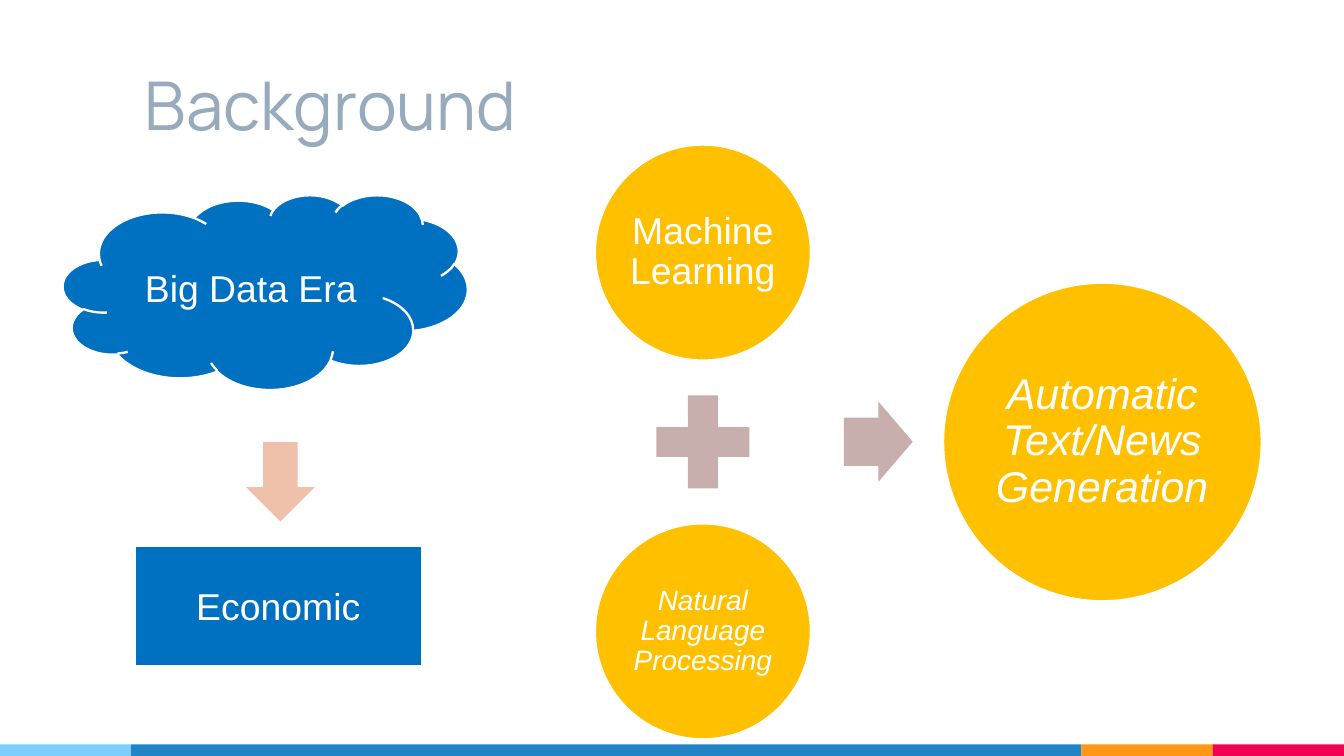
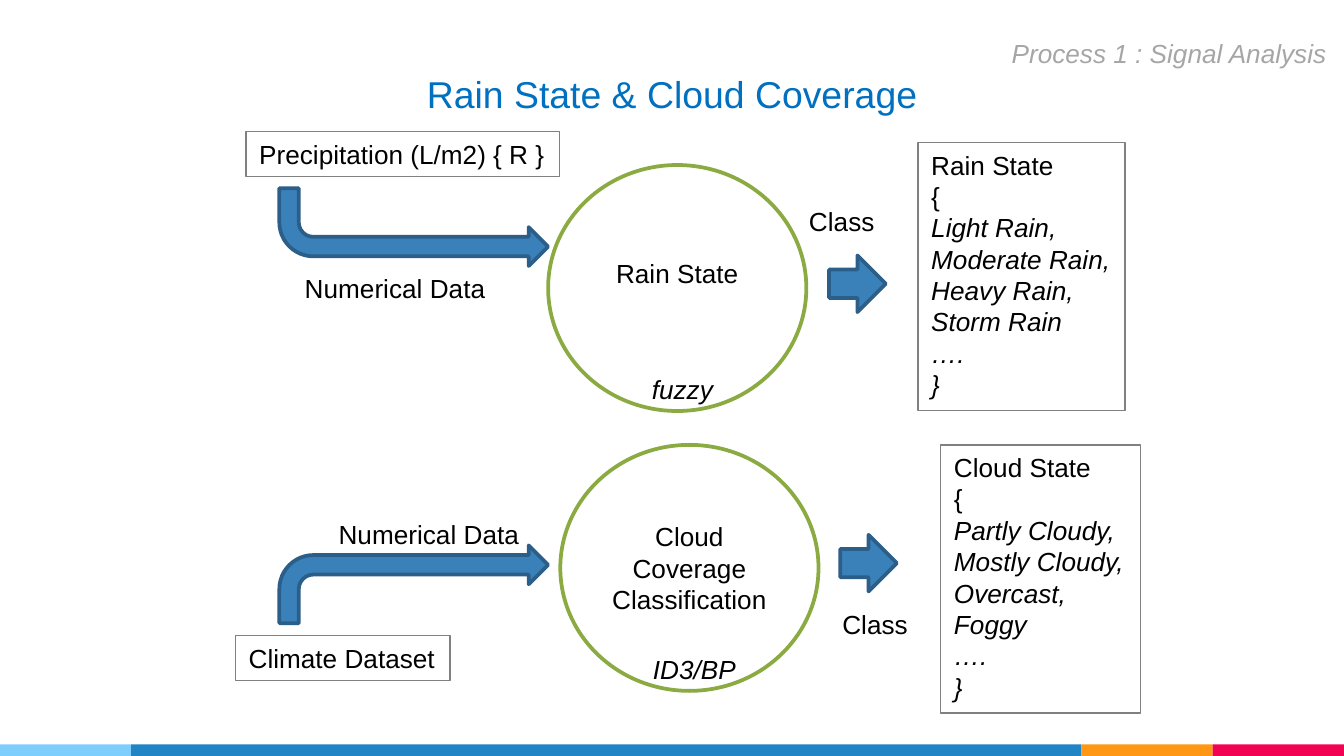
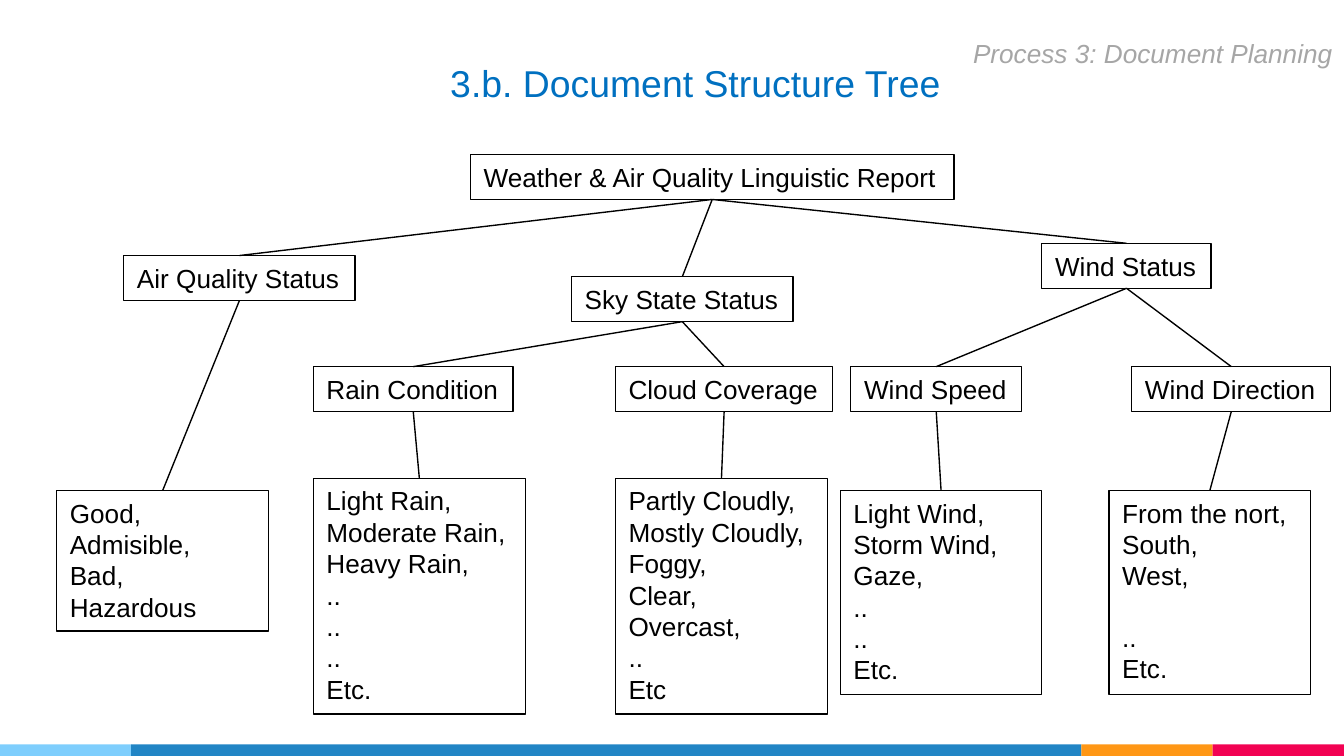
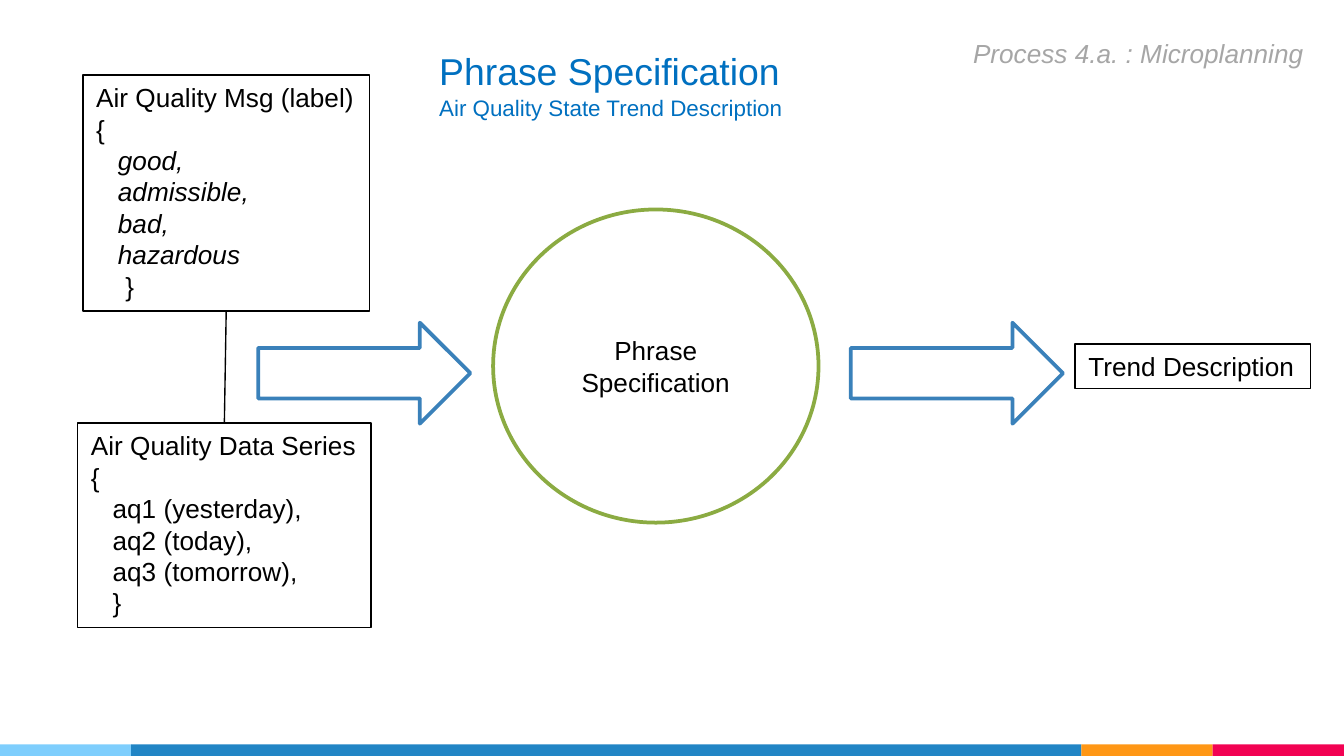
from dataclasses import dataclass
from typing import NamedTuple

from lxml import etree
from pptx import Presentation
from pptx.dml.color import RGBColor
from pptx.enum.shapes import MSO_CONNECTOR, MSO_SHAPE as SHAPE
from pptx.enum.text import MSO_ANCHOR as ANCHOR, MSO_AUTO_SIZE as AUTO, PP_ALIGN as ALIGN
from pptx.oxml.ns import qn
from pptx.util import Cm, Pt

COLORS = {
    "sky": "7ECEFD", "band": "2185C5", "orange": "FF9715", "pink": "F20253",
    "title": "97ABBC", "heading": "0070C0", "process": "A6A6A6",
    "gold": "FFC000", "mauve": "C9AEAE", "peach": "EFC1AB",
    "arrow": "3A81BA", "arrow_edge": "2B5F8A", "green": "8BAB42",
    "gray": "808080", "black": "000000", "white": "FFFFFF",
}
BODY_SIZE = 14
LINE_CM = 0.043     # line height in cm for each point of text size
ROW_GAP = 16        # one body line, in points


class Box(NamedTuple):
    left: float
    top: float
    width: float
    height: float


class Line(NamedTuple):
    text: str
    italic: bool = False
    indent: float = 0
    before: float = 0


@dataclass
class Label:
    """Text fitted to its lines, with an optional frame."""
    text: str | list
    left: float
    top: float
    width: float
    size: float = BODY_SIZE
    color: str = "black"
    italic: bool = False
    frame: str | None = None
    wrap: bool = False


@dataclass
class Figure:
    """Preset shape with optional centred text."""
    kind: SHAPE
    box: Box
    fill: str | None = None
    line: str | None = None
    weight: float = 2
    flip: bool = False
    adjust: tuple = ()


BANDS = [("sky", 2.48), ("band", 17.96), ("orange", 2.48), ("pink", 2.48)]


# Shared drawing functions
def rgb(name: str) -> RGBColor:
    return RGBColor.from_string(COLORS[name])


def write(sp, text, *, size=BODY_SIZE, color="black", font="Arial", italic=False,
          align=ALIGN.LEFT, anchor=ANCHOR.TOP, wrap=True, inset=None,
          bottom=None, spacing=None):
    tf = sp.text_frame
    tf.word_wrap = wrap
    tf.vertical_anchor = anchor
    if inset is not None:
        tf.margin_left = tf.margin_right = tf.margin_top = tf.margin_bottom = Cm(inset)
    if bottom is not None:
        tf.margin_bottom = Cm(bottom)
    lines = [text] if isinstance(text, str) else text
    for i, item in enumerate(lines):
        line = Line(item, italic) if isinstance(item, str) else item
        p = tf.paragraphs[0] if i == 0 else tf.add_paragraph()
        p.alignment = align
        if spacing:
            p.line_spacing = spacing
        if line.before:
            p.space_before = Pt(line.before)
        if line.indent:
            p._p.get_or_add_pPr().set("marL", str(Cm(line.indent)))
        r = p.add_run()
        r.text = line.text
        r.font.name, r.font.size, r.font.italic = font, Pt(size), line.italic
        r.font.color.rgb = rgb(color)


def draw(slide, fig: Figure, text=None, **text_format):
    sp = slide.shapes.add_shape(fig.kind, *map(Cm, fig.box))
    sp.shadow.inherit = False
    if fig.fill:
        sp.fill.solid()
        sp.fill.fore_color.rgb = rgb(fig.fill)
    else:
        sp.fill.background()
    if fig.line:
        sp.line.color.rgb = rgb(fig.line)
        sp.line.width = Pt(fig.weight)
    else:
        sp.line.fill.background()
    for i, value in enumerate(fig.adjust):
        sp.adjustments[i] = value
    if fig.flip:
        sp._element.spPr.xfrm.set("flipV", "1")
    if text:
        write(sp, text, **text_format)
    return sp


def put_label(slide, lb: Label):
    count = 1 if isinstance(lb.text, str) else sum(
        2 if isinstance(x, Line) and x.before else 1 for x in lb.text)
    box = Box(lb.left, lb.top, lb.width, round(0.25 + count * lb.size * LINE_CM, 2))
    if lb.frame:
        sp = draw(slide, Figure(SHAPE.RECTANGLE, box, line=lb.frame, weight=0.75))
    else:
        sp = slide.shapes.add_textbox(*map(Cm, box))
    write(sp, lb.text, size=lb.size, color=lb.color, italic=lb.italic, wrap=lb.wrap)
    sp.text_frame.auto_size = AUTO.SHAPE_TO_FIT_TEXT
    return sp


def join(slide, upper, lower) -> None:
    """Line from the bottom centre of one box to the top centre of another."""
    cn = slide.shapes.add_connector(MSO_CONNECTOR.STRAIGHT, 0, 0, 0, 0)
    cn.begin_connect(upper, 2)
    cn.end_connect(lower, 0)
    cn.line.color.rgb = rgb("black")
    cn.line.width = Pt(0.75)
    etree.SubElement(cn._element.spPr, qn("a:effectLst"))


def put_circle(slide, box: Box, text: str, **text_format) -> None:
    draw(slide, Figure(SHAPE.OVAL, box, "white", "green"), text,
         align=ALIGN.CENTER, anchor=ANCHOR.MIDDLE, **text_format)


def new_slide(prs):
    slide = prs.slides.add_slide(prs.slide_layouts[6])
    left = 0
    for color, width in BANDS:
        draw(slide, Figure(SHAPE.RECTANGLE, Box(left, 14.07, width, 0.22), color))
        left += width
    return slide


def process_slide(prs, process: Label, heading: Label):
    slide = new_slide(prs)
    process.color, process.italic = "process", True
    heading.color, heading.size = "heading", 20
    put_label(slide, process)
    put_label(slide, heading)
    return slide


# Slide 1: background
def background(prs) -> None:
    slide = new_slide(prs)
    title = slide.shapes.add_textbox(*map(Cm, Box(2.49, 0.58, 17.96, 2.39)))
    write(title, "Background", size=36, color="title", font="Manrope",
          anchor=ANCHOR.BOTTOM, inset=0.25)

    centred = dict(color="white", align=ALIGN.CENTER, anchor=ANCHOR.MIDDLE, inset=0.07)
    for text, box, size, italic in [
        ("Machine Learning", Box(11.23, 2.72, 4.11, 4.11), 20, False),
        ("Natural Language Processing", Box(11.23, 9.88, 4.11, 4.11), 15, True),
        ("Automatic Text/News Generation", Box(17.81, 5.33, 6.05, 6.05), 23, True),
    ]:
        draw(slide, Figure(SHAPE.OVAL, box, "gold", "white"), text,
             size=size, italic=italic, spacing=0.9, **centred)
    draw(slide, Figure(SHAPE.MATH_PLUS, Box(12.09, 7.16, 2.39, 2.39), "mauve"))
    draw(slide, Figure(SHAPE.RIGHT_ARROW, Box(15.95, 7.59, 1.3, 1.52), "mauve",
                       adjust=(0.6, 0.5)))

    for kind, box, text in [
        (SHAPE.CLOUD, Box(1.19, 3.68, 7.65, 3.68), "Big Data Era"),
        (SHAPE.RECTANGLE, Box(2.54, 10.31, 5.44, 2.29), "Economic"),
    ]:
        draw(slide, Figure(kind, box, "heading", "white", 1.25), text, size=20, **centred)
    draw(slide, Figure(SHAPE.DOWN_ARROW, Box(4.65, 8.36, 1.3, 1.5), "peach"))


# Slide 2: rain and cloud classification
def rain_and_cloud(prs) -> None:
    slide = process_slide(prs, Label("Process 1 : Signal Analysis", 18.87, 0.58, 6.53),
                          Label("Rain State & Cloud Coverage", 7.82, 1.22, 9.86))
    for top, flip in [(10.31, False), (3.56, True)]:
        draw(slide, Figure(SHAPE.BENT_ARROW, Box(5.28, top, 5.08, 1.47),
                           "arrow", "arrow_edge", flip=flip))
    put_circle(slide, Box(10.59, 8.41, 4.88, 4.65), "Cloud Coverage Classification")
    put_circle(slide, Box(10.36, 3.12, 4.88, 4.65), "Rain State", bottom=0.69)
    for left, top in [(15.67, 4.83), (15.88, 10.11)]:
        draw(slide, Figure(SHAPE.RIGHT_ARROW, Box(left, top, 1.07, 1.07),
                           "arrow", "arrow_edge"))

    def states(name: str, *values: str) -> list:
        return [name, "{"] + [Line(v, italic=True) for v in (*values, "….", "}")]

    rain = states("Rain State", "Light Rain,", "Moderate Rain,", "Heavy Rain,", "Storm Rain")
    cloud = states("Cloud State", "Partly Cloudy,", "Mostly Cloudy,", "Overcast,", "Foggy")
    for label in [
        Label("Precipitation (L/m2) { R }", 4.65, 2.49, 5.92, frame="gray"),
        Label("Climate Dataset", 4.45, 12.01, 4.06, frame="gray"),
        Label("Numerical Data", 5.51, 5.03, 3.94),
        Label("Numerical Data", 6.15, 9.68, 3.94),
        Label("Class", 15.04, 3.76, 1.75),
        Label("Class", 15.67, 11.38, 1.75),
        Label(cloud, 17.78, 8.41, 3.78, frame="gray"),
        Label(rain, 17.35, 2.69, 3.91, frame="gray"),
        Label("fuzzy", 12.07, 6.93, 1.68, italic=True),
        Label("ID3/BP", 12.09, 12.22, 2.08, italic=True),
    ]:
        put_label(slide, label)


# Slide 3: document structure tree
def structure_tree(prs) -> None:
    slide = process_slide(prs, Label("Process 3: Document Planning", 18.14, 0.58, 7.34),
                          Label("3.b. Document Structure Tree", 8.26, 1.02, 9.88))
    root, air, sky, wind = ("Weather & Air Quality Linguistic Report",
                            "Air Quality Status", "Sky State Status", "Wind Status")
    # name, parent, left, top, width
    branches = [
        (root, None, 8.89, 2.92, 9.14),
        (air, root, 2.34, 4.83, 4.37),
        (sky, root, 10.8, 5.23, 4.19),
        (wind, root, 19.69, 4.6, 3.2),
        ("Rain Condition", sky, 5.92, 6.93, 3.78),
        ("Cloud Coverage", sky, 11.63, 6.93, 4.11),
        ("Wind Speed", wind, 16.08, 6.93, 3.23),
        ("Wind Direction", wind, 21.39, 6.93, 3.76),
    ]
    # parent, values, left, top, width
    leaves = [
        (air, ["Good,", "Admisible,", "Bad,", "Hazardous"], 1.07, 9.27, 4.01),
        ("Rain Condition", ["Light Rain,", "Moderate Rain,", "Heavy Rain,",
                            "..", "..", "..", "Etc."], 5.92, 9.04, 4.01),
        ("Cloud Coverage", ["Partly Cloudly,", "Mostly Cloudly,", "Foggy,", "Clear,",
                            "Overcast,", "..", "Etc"], 11.63, 9.04, 4.01),
        ("Wind Speed", ["Light Wind,", "Storm Wind,", "Gaze,", "..", "..", "Etc."],
         15.88, 9.27, 3.81),
        ("Wind Direction", ["From the nort,", "South,", "West,",
                            Line("..", before=ROW_GAP), "Etc."], 20.96, 9.27, 3.81),
    ]
    nodes = {}
    for name, parent, *place in branches:
        nodes[name] = put_label(slide, Label(name, *place, frame="black"))
        if parent:
            join(slide, nodes[parent], nodes[name])
    for parent, values, *place in leaves:
        leaf = put_label(slide, Label(values, *place, frame="black", wrap=True))
        join(slide, nodes[parent], leaf)


# Slide 4: phrase specification
def phrase_specification(prs) -> None:
    slide = process_slide(prs, Label("Process 4.a. : Microplanning", 18.14, 0.58, 6.78),
                          Label("Phrase Specification", 8.05, 0.79, 7.01))
    put_label(slide, Label("Air Quality State Trend Description", 8.05, 1.65, 7.09,
                           size=12, color="heading"))
    put_circle(slide, Box(9.32, 3.96, 6.15, 5.92), "Phrase Specification")
    for left in (4.88, 16.08):
        draw(slide, Figure(SHAPE.RIGHT_ARROW, Box(left, 6.1, 4.01, 1.91), "white", "arrow"))

    message = ["Air Quality Msg (label)", "{",
               *(Line(t, True, 0.41) for t in ("good,", "admissible,", "bad,", "hazardous")),
               Line("}", indent=0.55)]
    series = ["Air Quality Data Series", "{",
              *(Line(t, indent=0.41) for t in
                ("aq1 (yesterday),", "aq2 (today),", "aq3 (tomorrow),", "}"))]
    upper = put_label(slide, Label(message, 1.57, 1.42, 5.41, frame="black"))
    lower = put_label(slide, Label(series, 1.47, 8, 5.54, frame="black"))
    join(slide, upper, lower)
    put_label(slide, Label("Trend Description", 20.32, 6.5, 4.45, frame="black"))


def main() -> None:
    prs = Presentation()
    prs.slide_width, prs.slide_height = Cm(25.4), Cm(14.29)
    for build in (background, rain_and_cloud, structure_tree, phrase_specification):
        build(prs)
    prs.save("out.pptx")


if __name__ == "__main__":
    main()
